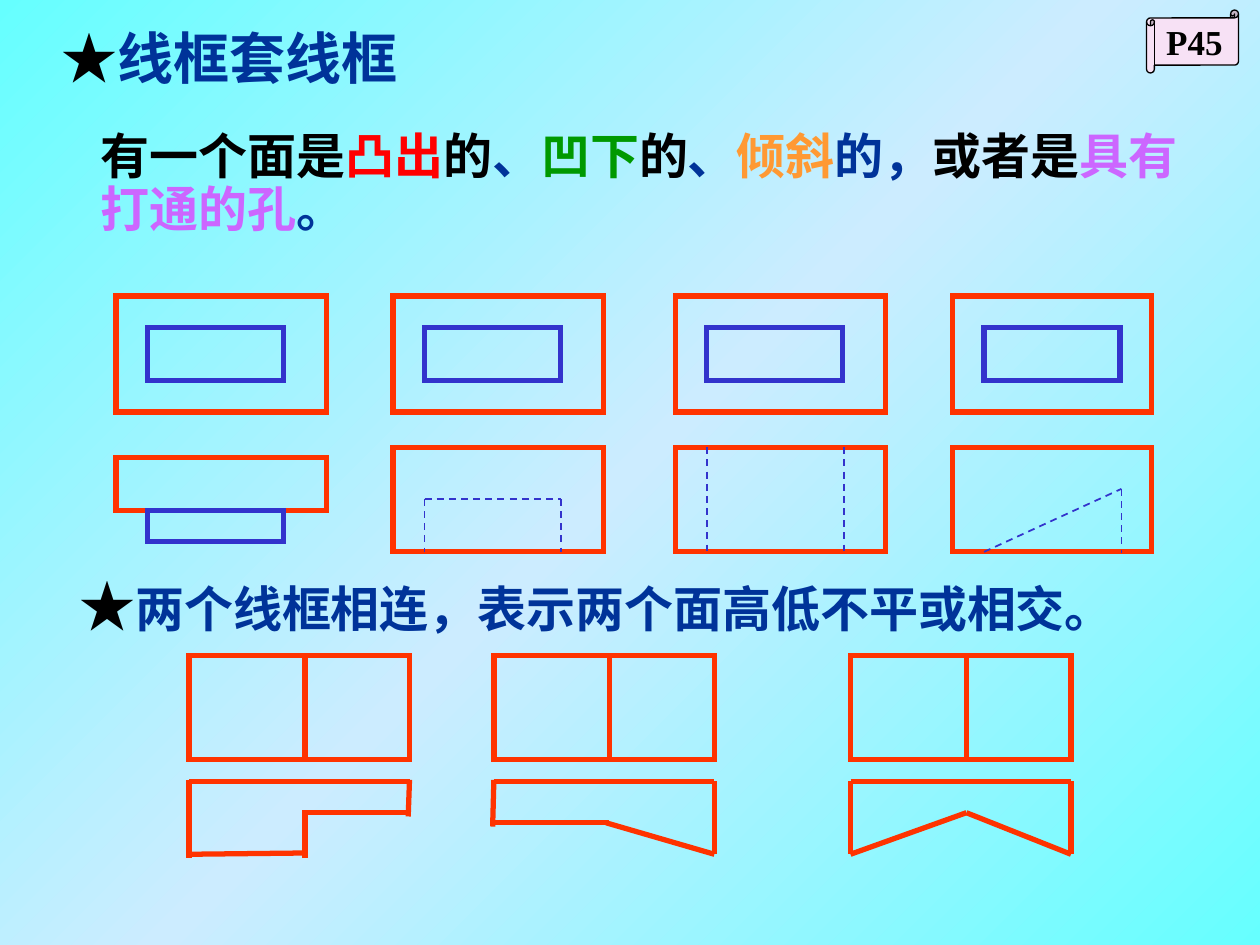
from copy import deepcopy
from lxml import etree
from pptx import Presentation
from pptx.dml.color import RGBColor
from pptx.enum import dml, shapes, text
from pptx.oxml import ns
from pptx.util import Inches, Pt

RED = RGBColor(0xFF, 0x33, 0x00)
BLUE = RGBColor(0x33, 0x33, 0xCC)
NAVY = RGBColor(0x00, 0x33, 0x99)
BLACK = RGBColor(0x00, 0x00, 0x00)
BRIGHT = RGBColor(0xFF, 0x00, 0x00)
GREEN = RGBColor(0x00, 0x99, 0x00)
ORANGE = RGBColor(0xFF, 0x99, 0x33)
PURPLE = RGBColor(0xCC, 0x66, 0xFF)
PINK = RGBColor(0xF7, 0xE1, 0xF5)
CYAN = RGBColor(0x66, 0xFF, 0xFF)
PALE = RGBColor(0xCC, 0xEC, 0xFF)
ROMAN, SANS = "Times New Roman", "Noto Sans CJK SC"

deck = Presentation()
deck.slide_width, deck.slide_height = Inches(10), Inches(7.5)
slide = deck.slides.add_slide(deck.slide_layouts[1])

# Diagonal background gradient
fill = slide.background.fill
fill.gradient()
fill.gradient_angle = 315
first = fill._fill._gradFill.find(ns.qn("a:gsLst"))[0]
first.addnext(deepcopy(first))
for stop, (spot, tint) in zip(fill.gradient_stops, [(0, CYAN), (0.5, PALE), (1, CYAN)]):
    stop.position = spot
    stop.color.rgb = tint


def write(shape, runs, face=ROMAN):
    """Fill the first paragraph with bold (wording, size, colour) runs."""
    para = shape.text_frame.paragraphs[0]
    for words, size, tint in runs:
        run = para.add_run()
        run.text = words
        font = run.font
        font.name, font.size, font.bold = face, Pt(size), True
        font.color.rgb = tint
        east = etree.SubElement(run._r.rPr, ns.qn("a:ea"))
        east.set("typeface", SANS)
    return para


def draw(kind, color, a, b, c, d):
    """Draw a box (left, top, width, height) or a line (x1, y1, x2, y2)."""
    spots = [Inches(v) for v in (a, b, c, d)]
    if kind == "box":
        item = slide.shapes.add_shape(shapes.MSO_SHAPE.RECTANGLE, *spots)
        item.fill.background()
        item.shadow.inherit = False
    else:
        item = slide.shapes.add_connector(shapes.MSO_CONNECTOR.STRAIGHT, *spots)
    item.line.color.rgb = color
    item.line.width = Pt(1 if kind == "dash" else 3)
    if kind == "box":
        join = etree.SubElement(item.line._ln, ns.qn("a:miter"))
        join.set("lim", "800000")
    else:
        etree.SubElement(item._element.spPr, ns.qn("a:effectLst"))
    if kind == "dash":
        item.line.dash_style = dml.MSO_LINE.DASH


# Nested frames, seen from the front
lefts = [0.92, 3.12, 5.36, 7.56]
widths = [1.67, 1.67, 1.67, 1.58]
for left, width in zip(lefts, widths):
    draw("box", RED, left, 2.35, width, 0.92)
    draw("box", BLUE, left + 0.25, 2.6, 1.08, 0.42)

# Nested frames, seen from above: raised, sunk, pierced, sloped
draw("box", RED, 0.92, 3.63, 1.67, 0.42)
draw("box", BLUE, 1.17, 4.05, 1.08, 0.25)
for left, width in zip(lefts[1:], widths[1:]):
    draw("box", RED, left, 3.55, width, 0.83)
for ends in [
    (3.37, 3.96, 4.45, 3.96), (4.45, 3.96, 4.45, 4.38), (3.37, 3.96, 3.37, 4.38),
    (5.61, 3.55, 5.61, 4.38), (6.7, 3.55, 6.7, 4.38),
    (7.81, 4.38, 8.9, 3.88), (8.9, 3.88, 8.9, 4.39),
]:
    draw("dash", BLUE, *ends)

# Joined frames, with the top edge of each view below
for left in (1.5, 3.92, 6.75):
    draw("box", RED, left, 5.2, 1.75, 0.83)
    draw("line", RED, left + 0.92, 5.2, left + 0.92, 6.03)
    draw("line", RED, left, 6.2, left + 1.75, 6.2)

# Rest of the lower views: step, slope, notch
for ends in [
    (1.5, 6.19, 1.5, 6.81), (1.5, 6.78, 2.43, 6.77), (2.42, 6.81, 2.42, 6.43),
    (2.42, 6.45, 3.25, 6.45), (3.24, 6.48, 3.25, 6.19),
    (3.92, 6.19, 3.91, 6.56), (3.92, 6.53, 4.83, 6.53),
    (4.81, 6.53, 5.67, 6.78), (5.67, 6.2, 5.67, 6.78),
    (6.75, 6.2, 6.75, 6.78), (6.75, 6.78, 7.67, 6.45),
    (7.67, 6.45, 8.5, 6.78), (8.5, 6.2, 8.5, 6.78),
]:
    draw("line", RED, *ends)

# Title and body text
title, body = slide.shapes.title, slide.placeholders[1]
for shape, box, anchor in [
    (title, (0.39, 0.14, 4.86, 0.64), text.MSO_ANCHOR.TOP),
    (body, (0.7, 1, 8.8, 0.94), text.MSO_ANCHOR.MIDDLE),
]:
    shape.left, shape.top, shape.width, shape.height = [Inches(v) for v in box]
    frame = shape.text_frame
    frame.word_wrap = True
    frame.auto_size = text.MSO_AUTO_SIZE.NONE
    frame.vertical_anchor = anchor
    para = frame.paragraphs[0]
    para.alignment = text.PP_ALIGN.LEFT
    para.space_before = Pt(0)

write(title, [("★", 32, BLACK), ("线框套线框", 32, NAVY)])
para = write(body, [(words, 28, tint) for words, tint in [
    ("有一个面是", BLACK), ("凸出", BRIGHT), ("的", BLACK), ("、", NAVY),
    ("凹下", GREEN), ("的", BLACK), ("、", NAVY), ("倾斜", ORANGE),
    ("的，", NAVY), ("或者是", BLACK), ("具有打通的孔", PURPLE), ("。", NAVY),
]])
para.line_spacing = 0.9
props = para._p.get_or_add_pPr()
props.set("marL", "0")
props.set("indent", "0")
etree.SubElement(props, ns.qn("a:buNone"))

# Second statement
note = slide.shapes.add_textbox(Inches(0.53), Inches(4.48), Inches(8.45), Inches(0.64))
note.text_frame.word_wrap = False
note.text_frame.auto_size = text.MSO_AUTO_SIZE.SHAPE_TO_FIT_TEXT
note.text_frame.vertical_anchor = text.MSO_ANCHOR.MIDDLE
write(note, [("★", 32, BLACK), ("两个线框相连，表示两个面高低不平或相交。", 28, NAVY)], SANS)

# Page scroll
scroll = slide.shapes.add_shape(
    shapes.MSO_SHAPE.HORIZONTAL_SCROLL, Inches(9.1), Inches(0.08), Inches(0.73), Inches(0.5))
scroll.shadow.inherit = False
scroll.fill.solid()
scroll.fill.fore_color.rgb = PINK
scroll.line.color.rgb = BLACK
scroll.line.width = Pt(0.75)
scroll.text_frame.word_wrap = False
scroll.text_frame.vertical_anchor = text.MSO_ANCHOR.MIDDLE
write(scroll, [("P45", 20, BLACK)]).alignment = text.PP_ALIGN.CENTER

deck.save("out.pptx")
